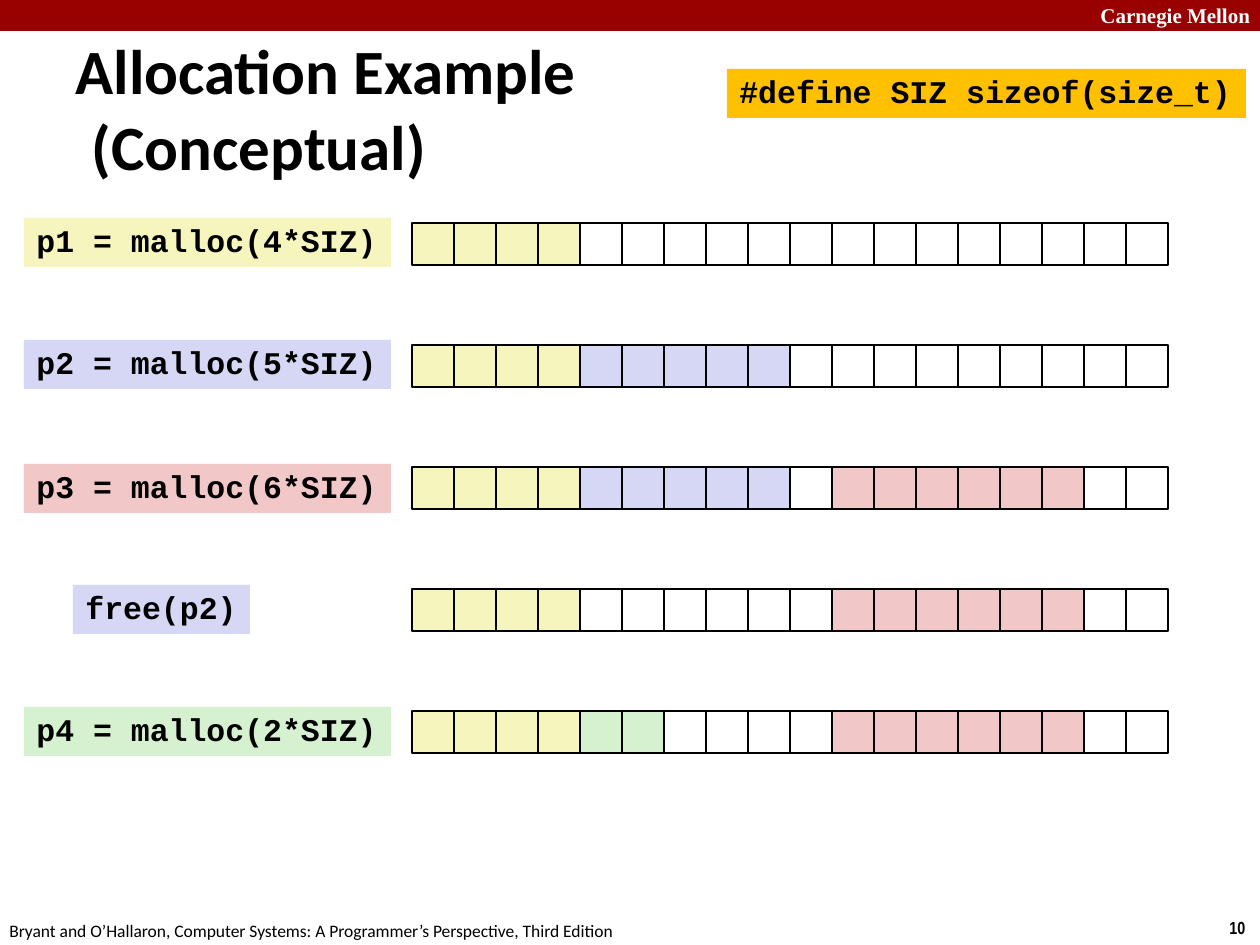
from pptx import Presentation
from pptx.dml.color import RGBColor
from pptx.enum.shapes import MSO_SHAPE
from pptx.enum.text import MSO_ANCHOR, PP_ALIGN
from pptx.util import Inches, Pt

PX_PER_INCH = 126
BLACK, WHITE, YELLOW, BLUE, RED, GREEN = (
    "000000", "FFFFFF", "F6F5BD", "D6D6F5", "F1C7C7", "D5F1CF")


def add_box(shapes, left, top, width, height, fill=None, line=None):
    """Add a rectangle placed in px, with an optional fill and outline."""
    shape = shapes.add_shape(
        MSO_SHAPE.RECTANGLE,
        *(Inches(value / PX_PER_INCH) for value in (left, top, width, height)))
    shape.shadow.inherit = False
    if fill:
        shape.fill.solid()
        shape.fill.fore_color.rgb = RGBColor.from_string(fill)
    else:
        shape.fill.background()
    if line:
        shape.line.color.rgb = RGBColor.from_string(line)
        shape.line.width = Pt(1)
    else:
        shape.line.fill.background()
    return shape


def add_run(paragraph, text, font_name, size, color=BLACK, bold=True):
    paragraph.alignment = PP_ALIGN.LEFT
    run = paragraph.add_run()
    run.text = text
    run.font.name = font_name
    run.font.size = Pt(size)
    run.font.bold = bold
    run.font.color.rgb = RGBColor.from_string(color)


presentation = Presentation()
presentation.slide_width = Inches(10)
presentation.slide_height = Inches(7.5)
slide = presentation.slides.add_slide(presentation.slide_layouts[5])

# Header bar, slide number and footer
add_box(slide.shapes, 0, 0, 1260, 31, "990000")
for text, left, top, width, height, font_name, size, color, bold in [
    ("Carnegie Mellon", 1088, -4, 181, 38, "Times New Roman", 12, WHITE, True),
    ("10", 1217, 911, 43, 34, "Arial Narrow", 10, BLACK, True),
    ("Bryant and O’Hallaron, Computer Systems: A Programmer’s Perspective, Third Edition",
     -3, 914, 640, 34, "Calibri", 10, BLACK, False),
]:
    text_box = slide.shapes.add_textbox(
        *(Inches(value / PX_PER_INCH) for value in (left, top, width, height)))
    text_box.text_frame.word_wrap = False
    add_run(text_box.text_frame.paragraphs[0], text, font_name, size, color, bold)

# Title with a hanging indent for its second line
title = slide.shapes.title
title.left, title.top, title.width, title.height = (
    Inches(value / PX_PER_INCH) for value in (63, 68, 891, 79))
title.text_frame.vertical_anchor = MSO_ANCHOR.MIDDLE
paragraph = title.text_frame.paragraphs[0]
properties = paragraph._p.get_or_add_pPr()
properties.set("marL", str(Inches(0.13)))
properties.set("indent", str(-Inches(0.13)))
add_run(paragraph, "Allocation Example", "Calibri", 36)
paragraph.add_line_break()
add_run(paragraph, "(Conceptual)", "Calibri", 36)

# Code labels
for code, left, top, width, fill in [
    ("p1 = malloc(4*SIZ)", 24, 218, 367, YELLOW),
    ("p2 = malloc(5*SIZ)", 24, 340, 367, BLUE),
    ("p3 = malloc(6*SIZ)", 24, 464, 367, RED),
    ("free(p2)", 73, 585, 177, BLUE),
    ("p4 = malloc(2*SIZ)", 24, 707, 367, GREEN),
    ("#define SIZ sizeof(size_t)", 727, 69, 519, "FFC000"),
]:
    label = add_box(slide.shapes, left, top, width, 49, fill)
    label.text_frame.word_wrap = False
    label.text_frame.vertical_anchor = MSO_ANCHOR.TOP
    paragraph = label.text_frame.paragraphs[0]
    paragraph.line_spacing = 0.94
    add_run(paragraph, code, "Courier New", 18)

# Heap after each call: one row of 18 words, as (color, word count) blocks
CELL = 42
HEAP_LEFT, HEAP_TOP, ROW_STEP = 412, 223, 122
heap_rows = [
    [(YELLOW, 4), (WHITE, 14)],
    [(YELLOW, 4), (BLUE, 5), (WHITE, 9)],
    [(YELLOW, 4), (BLUE, 5), (None, 1), (RED, 6), (WHITE, 2)],
    [(YELLOW, 4), (WHITE, 5), (None, 1), (RED, 6), (WHITE, 2)],
    [(YELLOW, 4), (GREEN, 2), (WHITE, 3), (None, 1), (RED, 6), (WHITE, 2)],
]
for row, blocks in enumerate(heap_rows):
    group = slide.shapes.add_group_shape()
    words = [color for color, count in blocks for _ in range(count)]
    for column, color in enumerate(words):
        add_box(group.shapes, HEAP_LEFT + column * CELL, HEAP_TOP + row * ROW_STEP,
                CELL, CELL, color, BLACK)

presentation.save("out.pptx")
